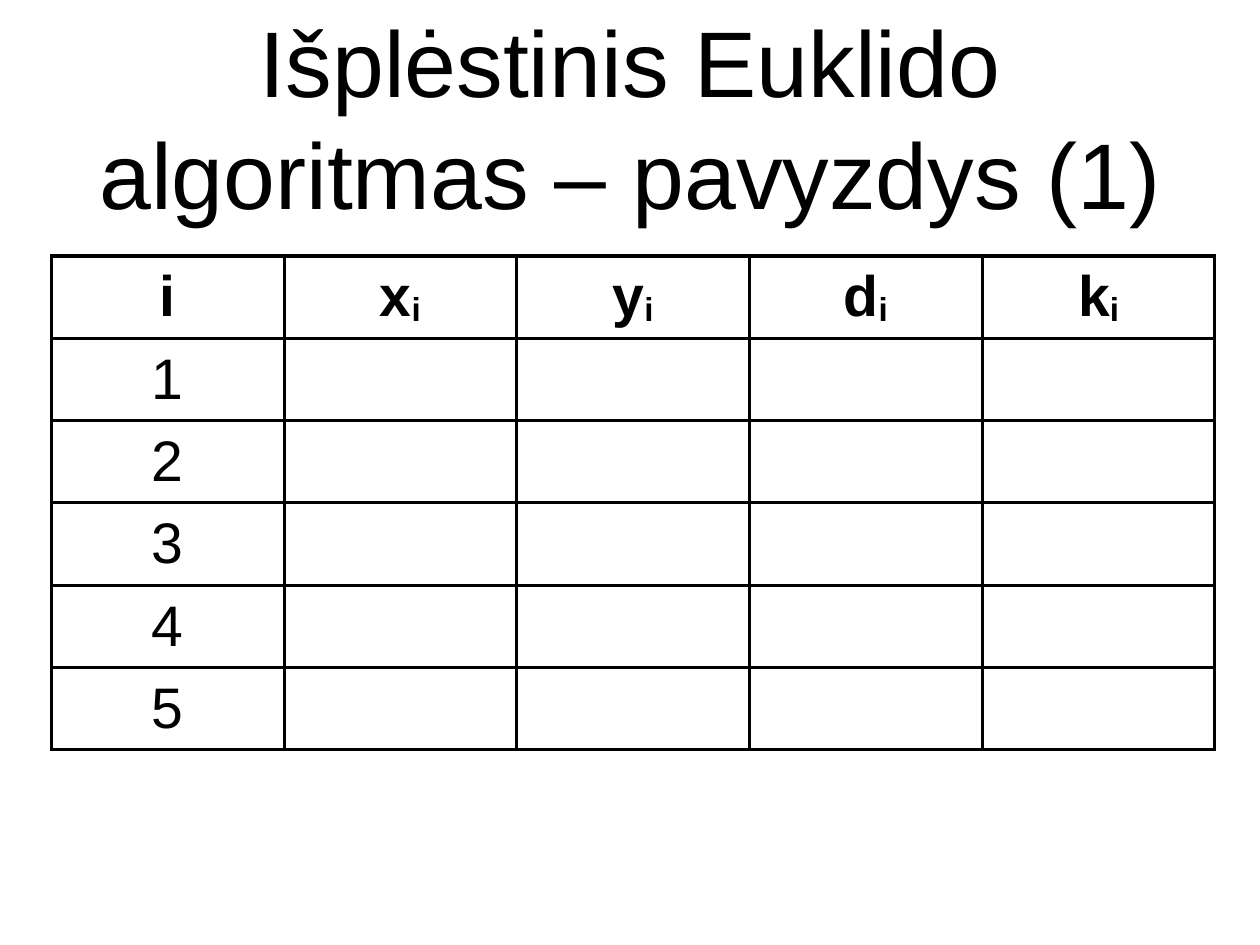
from lxml.etree import SubElement
from pptx import Presentation
from pptx.dml.color import RGBColor as Rgb
from pptx.enum.text import (
    MSO_ANCHOR as Anchor, MSO_AUTO_SIZE as Fit, PP_ALIGN as Align)
from pptx.oxml.ns import qn
from pptx.util import Cm, Inches, Pt

WIDE, HIGH = Cm(28), Cm(21)
HUES = {"ink": "000000", "paper": "FFFFFF"}
FACE = "Arial"
TITLE = "Išplėstinis Euklido algoritmas – pavyzdys (1)"
HEADS = ["i", "xi", "yi", "di", "ki"]
STEPS = ["1", "2", "3", "4", "5"]
COL, ROW = 10.18 / len(HEADS), 0.72


def style(para, size, bold=False):
    para.alignment = Align.CENTER
    font = para.font
    font.name, font.size, font.bold = FACE, Pt(size), bold
    font.color.rgb = Rgb.from_string(HUES["ink"])


def add_title(slide, text):
    box = slide.shapes.add_textbox(
        int(WIDE * 0.05), Inches(0.11), int(WIDE * 0.9), int(HIGH * 0.22))
    frame = box.text_frame
    frame.word_wrap = True
    frame.auto_size = Fit.SHAPE_TO_FIT_TEXT
    frame.vertical_anchor = Anchor.MIDDLE
    frame.margin_left = frame.margin_right = 0
    frame.margin_top = frame.margin_bottom = 0
    para = frame.paragraphs[0]
    para.text = text
    style(para, 58.7)


def add_edges(cell):
    props = cell._tc.get_or_add_tcPr()
    for at, side in enumerate(("lnL", "lnR", "lnT", "lnB")):
        line = props.makeelement(qn(f"a:{side}"), {"w": str(Pt(2.27))})
        fill = SubElement(line, qn("a:solidFill"))
        SubElement(fill, qn("a:srgbClr"), val=HUES["ink"])
        props.insert(at, line)


def fill_cell(cell, text, bold):
    cell.vertical_anchor = Anchor.MIDDLE
    cell.fill.solid()
    cell.fill.fore_color.rgb = Rgb.from_string(HUES["paper"])
    add_edges(cell)
    para = cell.text_frame.paragraphs[0]
    style(para, 36, bold)
    for at, sign in enumerate(text):
        run = para.add_run()
        run.text = sign
        if at:
            run.font._element.set("baseline", "-8000")


def add_grid(slide, rows):
    table = slide.shapes.add_table(
        len(rows), len(HEADS), Inches(0.45), Inches(2.24),
        Inches(COL * len(HEADS)), Inches(ROW * len(rows))).table
    table.first_row = table.horz_banding = False
    for col in table.columns:
        col.width = Inches(COL)
    for r, row in enumerate(rows):
        table.rows[r].height = Inches(ROW)
        for c, text in enumerate(row):
            fill_cell(table.cell(r, c), text, r == 0)


def main():
    deck = Presentation()
    deck.slide_width = WIDE
    deck.slide_height = HIGH
    slide = deck.slides.add_slide(deck.slide_layouts[6])
    add_title(slide, TITLE)
    blank = [""] * (len(HEADS) - 1)
    add_grid(slide, [HEADS] + [[step] + blank for step in STEPS])
    deck.save("out.pptx")


if __name__ == "__main__":
    main()
